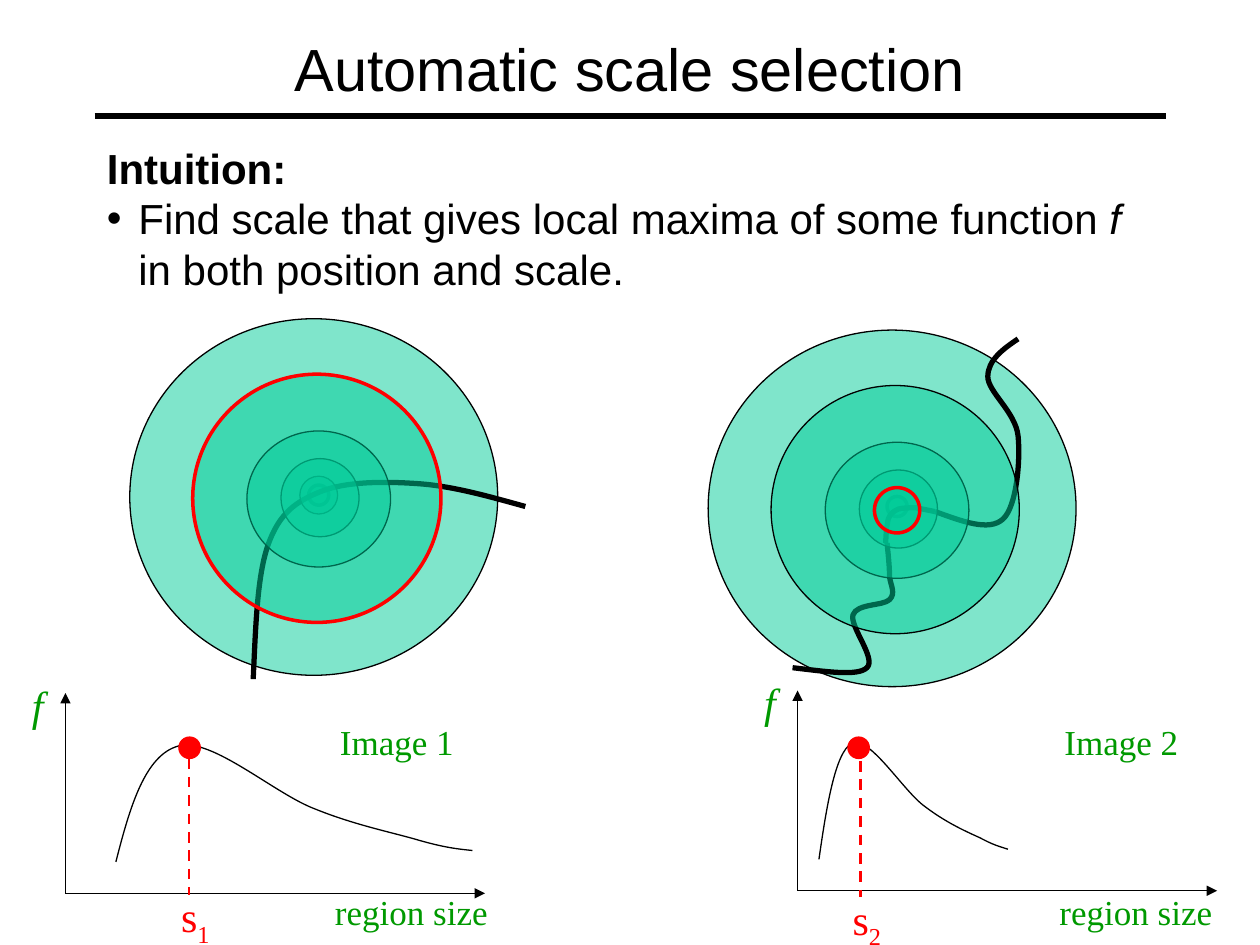
from lxml.etree import SubElement
from pptx import Presentation
from pptx.dml.color import RGBColor
from pptx.enum.dml import MSO_LINE
from pptx.enum.shapes import MSO_CONNECTOR as CONNECTOR, MSO_SHAPE as SHAPE
from pptx.enum.text import MSO_ANCHOR as ANCHOR, PP_ALIGN as ALIGN
from pptx.oxml.ns import qn
from pptx.util import Inches, Pt

BLACK, RED, GREEN, TEAL = "000000", "FF0000", "009900", "00CC99"
SANS, SERIF = "Arial", "Times New Roman"


def color(value):
    return RGBColor.from_string(value)


def style_line(line, line_color, width):
    line.color.rgb = color(line_color)
    line.width = Pt(width)


def add_line(slide, start, end, line_color=BLACK, width=0.75, arrow=False, dash=False):
    ends = [Inches(value) for value in (*start, *end)]
    connector = slide.shapes.add_connector(CONNECTOR.STRAIGHT, *ends)
    style_line(connector.line, line_color, width)
    if dash:
        connector.line.dash_style = MSO_LINE.DASH
    if arrow:
        SubElement(connector.line._get_or_add_ln(), qn("a:tailEnd"), type="triangle")
    SubElement(connector._element.spPr, qn("a:effectLst"))


def add_ellipse(slide, box, fill, line_color=BLACK, width=0.75, alpha=None):
    shape = slide.shapes.add_shape(SHAPE.OVAL, *map(Inches, box))
    shape.shadow.inherit = False
    shape.fill.solid()
    shape.fill.fore_color.rgb = color(fill)
    if alpha:
        fill_element = shape._element.spPr.find(qn("a:solidFill"))[0]
        SubElement(fill_element, qn("a:alpha"), val=str(alpha * 1000))
    style_line(shape.line, line_color, width)


def add_curve(slide, points, width):
    """Draw a chain of cubic Bezier pieces: a start, then three points a piece."""
    start, *others = [(Inches(x), Inches(y)) for x, y in points]
    builder = slide.shapes.build_freeform(*start)
    builder.add_line_segments(others, close=False)
    shape = builder.convert_to_shape()
    shape.shadow.inherit = False
    shape.fill.background()
    style_line(shape.line, BLACK, width)
    path = next(shape._element.iter(qn("a:path")))
    segments = path.findall(qn("a:lnTo"))
    for index in range(0, len(segments), 3):
        bezier = SubElement(path, qn("a:cubicBezTo"))
        for segment in segments[index:index + 3]:
            bezier.append(segment[0])
            path.remove(segment)


def format_run(run, size, font_name, text_color=BLACK):
    run.font.size = Pt(size)
    run.font.name = font_name
    run.font.color.rgb = color(text_color)


def add_label(slide, box, text, size, text_color, subscript="", font_name=SERIF, wrap=False):
    text_frame = slide.shapes.add_textbox(*map(Inches, box)).text_frame
    text_frame.word_wrap = wrap
    text_frame.margin_left = text_frame.margin_right = 0
    text_frame.text = text
    paragraph = text_frame.paragraphs[0]
    paragraph.alignment = ALIGN.CENTER
    if subscript:
        paragraph.add_run().text = subscript
    for run in paragraph.runs:
        format_run(run, size, font_name, text_color)
    if subscript:
        paragraph.runs[1]._r.get_or_add_rPr().set("baseline", "-25000")
    return text_frame


def add_title(slide, left, top, width, height):
    box = (left, top, width, height)
    title = add_label(slide, box, "Automatic scale selection", 34, BLACK,
                      font_name=SANS, wrap=True)
    title.vertical_anchor = ANCHOR.MIDDLE
    rule_top = top + height - 0.08
    add_line(slide, (left, rule_top), (left + width, rule_top), width=3)


def add_intuition(slide, box):
    text_frame = slide.shapes.add_textbox(*map(Inches, box)).text_frame
    text_frame.word_wrap = True
    text_frame.text = "Intuition:"
    heading, bullet = text_frame.paragraphs[0], text_frame.add_paragraph()
    properties = bullet._p.get_or_add_pPr()
    properties.set("marL", str(Inches(0.25)))
    properties.set("indent", str(Inches(-0.25)))
    SubElement(properties, qn("a:buFont"), typeface=SANS)
    SubElement(properties, qn("a:buChar"), char="•")
    for text in ("Find scale that gives local maxima of some function ", "f ",
                 "in both position and scale."):
        bullet.add_run().text = text
    for paragraph in (heading, bullet):
        for run in paragraph.runs:
            format_run(run, 24, SANS)
    heading.runs[0].font.bold = True
    bullet.runs[1].font.italic = True


def add_scale_circles(slide, left, top, curves, inner, red_circle):
    """Stack see-through circles around the image edges, the chosen one in red."""
    add_ellipse(slide, (left + 1.42, top + 1.32, 0.16, 0.16), TEAL, width=2, alpha=50)
    add_ellipse(slide, (left, top, 2.92, 2.83), TEAL, alpha=50)
    for curve in curves:
        add_curve(slide, curve, 3)
    circles = [(1.2, 1.11, 0.62, 0.62), (0.93, 0.89, 1.14, 1.08), (0.5, 0.44, 1.97, 1.97)]
    for circle in inner + circles:
        if circle != red_circle:
            add_ellipse(slide, (left + circle[0], top + circle[1], *circle[2:]), TEAL, alpha=50)
    x, y, width, height = red_circle
    add_ellipse(slide, (left + x, top + y, width, height), TEAL, RED, 2, 50)


def add_graph(slide, left, bottom, number, label_left, curve):
    origin = (left, bottom)
    add_line(slide, origin, (left + 3.33, bottom), arrow=True)
    add_line(slide, origin, (left, bottom - 1.59), arrow=True)
    function_label = add_label(slide, (left - 0.44, bottom - 1.75, 0.44, 0.5), "f", 24, GREEN,
                               wrap=True)
    function_label.paragraphs[0].runs[0].font.italic = True
    add_label(slide, (label_left, 7.02, 1.41, 0.43), "region size", 20, GREEN)
    add_label(slide, (label_left + 0.04, 5.67, 1.1, 0.43), f"Image {number}", 20, GREEN)
    add_curve(slide, curve, 0.75)


def add_maximum(slide, dot_left, line_left, line_top, number):
    add_ellipse(slide, (dot_left, 5.85, 0.17, 0.17), RED, RED)
    line_bottom = line_top + 1.08
    add_line(slide, (line_left, line_top), (line_left, line_bottom), RED, 1.5, dash=True)
    box = (line_left - 0.17, line_bottom - 0.08, 0.44, 0.5)
    add_label(slide, box, "s", 24, RED, subscript=str(number))


EDGE_1 = [(2.01, 5.39), (2.03, 4.98), (2.04, 4.57), (2.13, 4.32), (2.22, 4.07), (2.35, 3.98),
          (2.55, 3.9), (2.75, 3.82), (3.06, 3.82), (3.33, 3.84), (3.6, 3.86), (3.88, 3.94),
          (4.17, 4.02)]
EDGE_2_UPPER = [(7.42, 4.06), (7.64, 4.14), (7.85, 4.22), (7.96, 4.12), (8.07, 4.02),
                (8.1, 3.65), (8.08, 3.46), (8.06, 3.27), (7.84, 3.11), (7.84, 2.99),
                (7.84, 2.86), (7.96, 2.77), (8.08, 2.69)]
EDGE_2_LOWER = [(6.29, 5.3), (6.55, 5.33), (6.81, 5.37), (6.88, 5.3), (6.96, 5.23),
                (6.74, 4.97), (6.77, 4.88), (6.8, 4.79), (7.01, 4.81), (7.06, 4.76),
                (7.11, 4.71), (7.07, 4.65), (7.06, 4.58), (7.06, 4.5), (7.05, 4.41),
                (7.04, 4.31)]
EDGE_2_CENTER = [(7.03, 4.31), (7.03, 4.24), (7.04, 4.16), (7.05, 4.12), (7.07, 4.07),
                 (7.09, 4.06), (7.13, 4.04), (7.17, 4.03), (7.22, 4.03), (7.27, 4.03),
                 (7.32, 4.04), (7.37, 4.05), (7.42, 4.06)]
RESPONSE_1 = [(0.92, 6.84), (1.03, 6.41), (1.15, 5.99), (1.42, 5.92), (1.68, 5.85), (2.18, 6.3),
              (2.5, 6.42), (2.82, 6.55), (3.13, 6.61), (3.33, 6.67), (3.54, 6.73), (3.65, 6.74),
              (3.75, 6.75)]
RESPONSE_2 = [(6.5, 6.82), (6.56, 6.4), (6.63, 5.97), (6.76, 5.9), (6.9, 5.83), (7.17, 6.28),
              (7.34, 6.4), (7.51, 6.53), (7.67, 6.6), (7.78, 6.65), (7.89, 6.71), (7.94, 6.72),
              (8, 6.74)]


def main():
    presentation = Presentation()
    presentation.slide_width, presentation.slide_height = Inches(10), Inches(7.5)
    slide = presentation.slides.add_slide(presentation.slide_layouts[6])
    add_title(slide, 0.75, 0.08, 8.5, 0.92)
    add_intuition(slide, (0.75, 1.08, 8.25, 1.31))
    add_scale_circles(slide, 1.03, 2.53, [EDGE_1], [(1.35, 1.25, 0.3, 0.3)],
                      (0.5, 0.44, 1.97, 1.97))
    add_scale_circles(slide, 5.62, 2.62, [EDGE_2_UPPER, EDGE_2_LOWER, EDGE_2_CENTER], [],
                      (1.32, 1.25, 0.36, 0.36))
    add_graph(slide, 0.52, 7.09, 1, 2.56, RESPONSE_1)
    add_graph(slide, 6.33, 7.07, 2, 8.31, RESPONSE_2)
    add_maximum(slide, 1.42, 1.5, 6.02, 1)
    add_maximum(slide, 6.73, 6.83, 6.04, 2)
    presentation.save("out.pptx")


if __name__ == "__main__":
    main()
